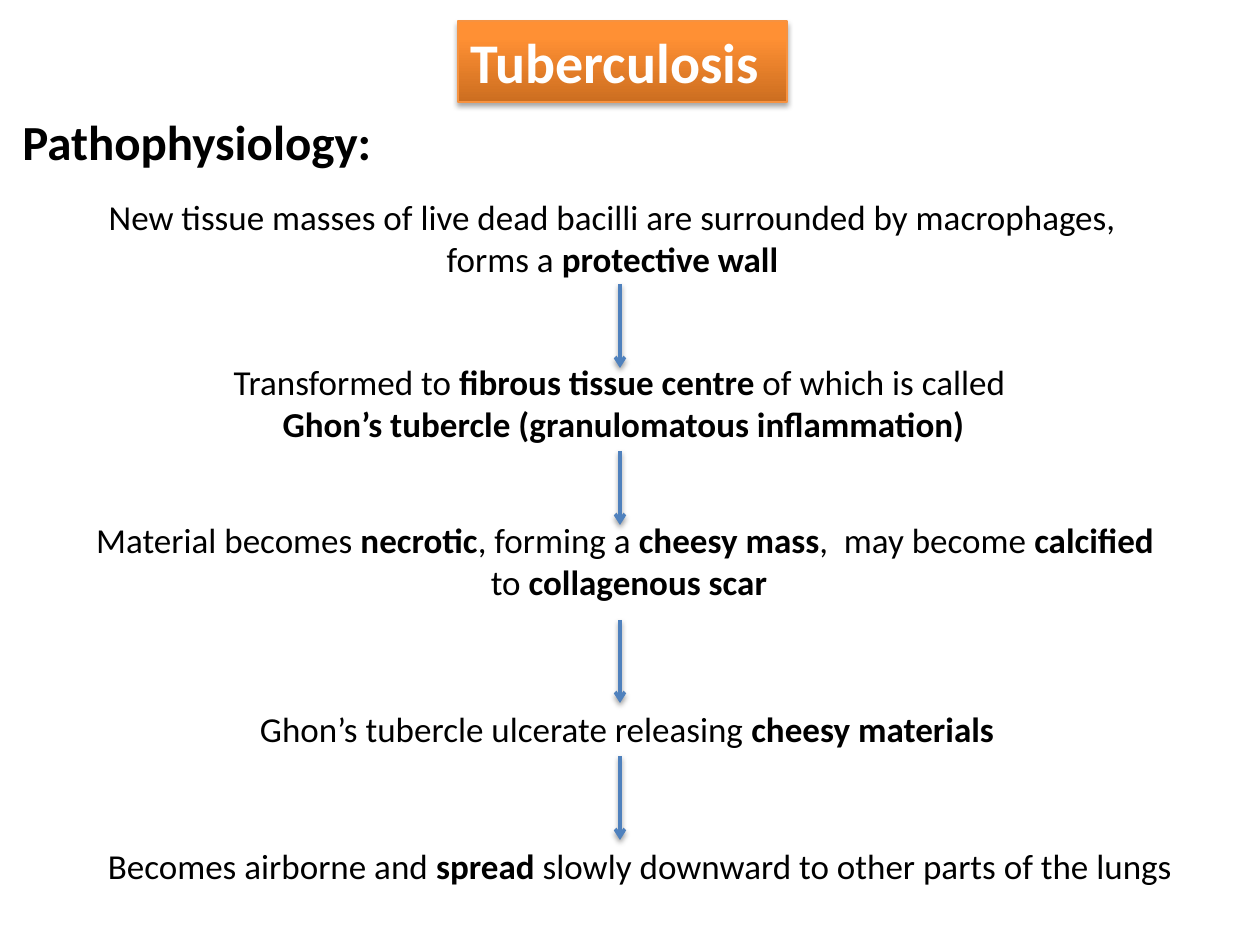
from lxml import etree
from pptx import Presentation, util as u
from pptx.dml.color import RGBColor
from pptx.enum import shapes, text
from pptx.oxml.ns import qn

PX = u.Inches(1) / 126


def px(*nums):
    return [round(n * PX) for n in nums]


def shade(shape, dist, alpha):
    """Add a soft black shadow that falls straight down."""
    props = shape._element.spPr
    for old in props.findall(qn("a:effectLst")):
        props.remove(old)
    effect = etree.SubElement(props, qn("a:effectLst"))
    outer = etree.SubElement(effect, qn("a:outerShdw"), blurRad=str(u.Pt(3.1)),
                             dist=str(u.Pt(dist)), dir="5400000", rotWithShape="0")
    black = etree.SubElement(outer, qn("a:srgbClr"), val="000000")
    etree.SubElement(black, qn("a:alpha"), val=str(alpha * 1000))


hue = RGBColor.from_string
deck = Presentation()
deck.slide_width, deck.slide_height = px(1260, 945)
slide = deck.slides.add_slide(deck.slide_layouts[5])

# Title banner
title = slide.shapes.title
title.left, title.top, title.width, title.height = px(458, 21, 329, 81)
title.fill.gradient()
title.fill.gradient_angle = 90
for stop, (place, tint) in zip(title.fill.gradient_stops,
                               [(0, "CC6E20"), (0.8, "FF9034")]):
    stop.position = place
    stop.color.rgb = hue(tint)
title.line.color.rgb = hue("F69240")
title.line.width = u.Pt(0.75)
shade(title, 1.8, 35)
frame = title.text_frame
frame.auto_size = text.MSO_AUTO_SIZE.NONE
frame.word_wrap = True
para = frame.paragraphs[0]
para.alignment = text.PP_ALIGN.LEFT
run = para.add_run()
run.text = "Tuberculosis"
run.font.name, run.font.size, run.font.bold = "Calibri", u.Pt(32), True
run.font.color.rgb = hue("FFFFFF")

# Heading and steps: box, size, alignment, lines; bold parts stand between asterisks
left, mid = text.PP_ALIGN.LEFT, text.PP_ALIGN.CENTER
blocks = [
    ((10, 105, 378, 72), 28, left, ["*Pathophysiology:*"]),
    ((91, 189, 1043, 97), 20, mid, [
        "New tissue masses of live dead bacilli are surrounded by macrophages,",
        "forms a *protective wall*"]),
    ((218, 354, 811, 97), 20, mid, [
        "Transformed to *fibrous tissue centre* of which is called ",
        "*Ghon’s tubercle (granulomatous inflammation)*"]),
    ((82, 512, 1094, 97), 20, mid, [
        "Material becomes *necrotic*, forming a *cheesy mass*,  may become *calcified *",
        "to *collagenous scar*"]),
    ((246, 701, 762, 55), 20, mid, [
        "Ghon’s tubercle ulcerate releasing *cheesy materials*"]),
    ((92, 838, 1096, 55), 20, mid, [
        "Becomes airborne and *spread* slowly downward to other parts of the lungs"]),
]
for box, size, align, lines in blocks:
    frame = slide.shapes.add_textbox(*px(*box)).text_frame
    frame.word_wrap = False
    frame.auto_size = text.MSO_AUTO_SIZE.SHAPE_TO_FIT_TEXT
    for row, line in enumerate(lines):
        para = frame.add_paragraph() if row else frame.paragraphs[0]
        para.alignment = align
        for part, words in enumerate(line.split("*")):
            if words:
                run = para.add_run()
                run.text = words
                run.font.name, run.font.size = "Calibri", u.Pt(size)
                run.font.bold = part % 2 == 1
                run.font.color.rgb = hue("000000")

# Arrows between the steps
for top, end in [(284, 368), (451, 525), (620, 703), (756, 840)]:
    arrow = slide.shapes.add_connector(shapes.MSO_CONNECTOR.STRAIGHT,
                                       *px(620, top, 620, end))
    arrow.line.color.rgb = hue("4F81BD")
    arrow.line.width = u.Pt(2)
    etree.SubElement(arrow.line._get_or_add_ln(), qn("a:tailEnd"), type="arrow")
    shade(arrow, 1.6, 38)

deck.save("out.pptx")
